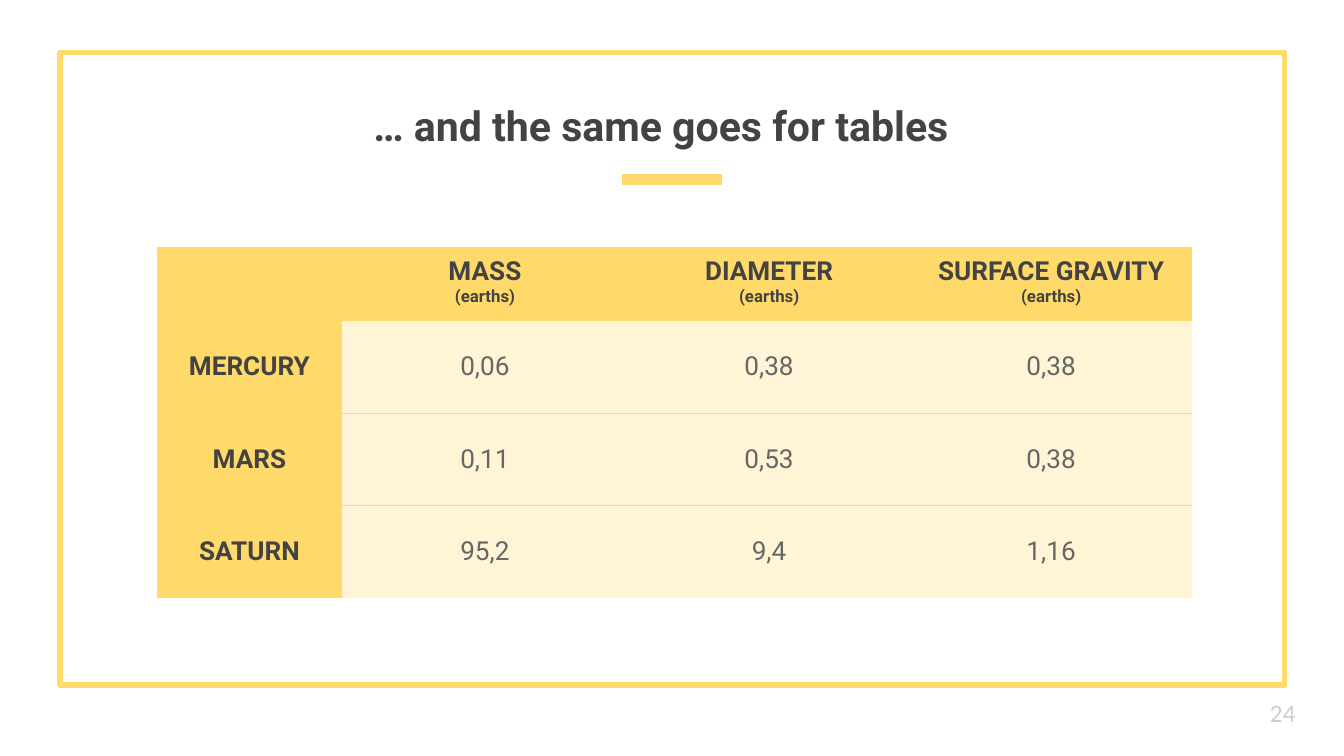
from lxml.etree import SubElement
from pptx import Presentation
from pptx.dml.color import RGBColor
from pptx.enum.shapes import MSO_CONNECTOR, MSO_SHAPE
from pptx.enum.text import MSO_ANCHOR, MSO_AUTO_SIZE, PP_ALIGN
from pptx.oxml import parse_xml
from pptx.oxml.ns import nsdecls, qn
from pptx.util import Cm, Pt

YELLOW = RGBColor(0xFF, 0xD9, 0x69)
DARK = RGBColor(0x43, 0x43, 0x43)
GRAY = RGBColor(0x66, 0x66, 0x66)
LIGHT = RGBColor(0xCC, 0xCC, 0xCC)
NO_STYLE = "{2D5ABB26-0587-4C30-8999-92F81FD0307C}"
TINT = 28

ROWS = [
    ["", "MASS\n(earths)", "DIAMETER\n(earths)", "SURFACE GRAVITY\n(earths)"],
    ["MERCURY", "0,06", "0,38", "0,38"],
    ["MARS", "0,11", "0,53", "0,38"],
    ["SATURN", "95,2", "9,4", "1,16"],
]
COL_WIDTHS = [3.49, 5.41, 5.33, 5.33]
ROW_HEIGHTS = [1.4, 1.75, 1.75, 1.75]


class Deck:
    font = "Roboto"

    def __init__(self, slide):
        self.s = slide

    def style(self, p, size, color, bold=False, font=None, align=PP_ALIGN.CENTER):
        p.alignment = align
        for r in p.runs:
            r.font.name = font or self.font
            r.font.size = Pt(size)
            r.font.bold = bold
            r.font.color.rgb = color

    def set_text(self, sp, text, anchor, **style):
        tf = sp.text_frame
        tf.text = text
        tf.word_wrap = True
        tf.auto_size = MSO_AUTO_SIZE.NONE
        tf.vertical_anchor = anchor
        tf.margin_left = tf.margin_right = Cm(0.25)
        tf.margin_top = tf.margin_bottom = Cm(0.25)
        self.style(tf.paragraphs[0], **style)

    def frame(self, x, y, w, h):
        sp = self.s.shapes.add_shape(MSO_SHAPE.RECTANGLE, Cm(x), Cm(y), Cm(w), Cm(h))
        sp.shadow.inherit = False
        sp.fill.background()
        sp.line.color.rgb = YELLOW
        sp.line.width = Pt(3)
        SubElement(sp.line._get_or_add_ln(), qn("a:round"))

    def rule(self, x1, x2, y):
        line = self.s.shapes.add_connector(
            MSO_CONNECTOR.STRAIGHT, Cm(x1), Cm(y), Cm(x2), Cm(y))
        line.line.color.rgb = YELLOW
        line.line.width = Pt(6)
        SubElement(line._element.spPr, qn("a:effectLst"))

    def title(self, text, x, y, w, h):
        sp = self.s.shapes.title
        sp.left, sp.top, sp.width, sp.height = Cm(x), Cm(y), Cm(w), Cm(h)
        self.set_text(sp, text, MSO_ANCHOR.BOTTOM, size=22, color=DARK, bold=True)

    def page_number(self, text, x, y, w, h):
        sp = self.s.shapes.add_textbox(Cm(x), Cm(y), Cm(w), Cm(h))
        self.set_text(sp, text, MSO_ANCHOR.MIDDLE, size=12, color=LIGHT,
                      font="Lato", align=PP_ALIGN.LEFT)

    def border(self, cell, *sides):
        for i, side in enumerate(sides):
            ln = parse_xml(
                f'<a:{side} {nsdecls("a")} w="{Pt(0.75)}"><a:solidFill>'
                f'<a:srgbClr val="{YELLOW}"/></a:solidFill></a:{side}>')
            cell._tc.get_or_add_tcPr().insert(i, ln)

    def cell(self, cell, text, heading, header_row):
        cell.margin_left = cell.margin_right = Cm(0.25)
        cell.margin_top = cell.margin_bottom = Cm(0.18)
        cell.vertical_anchor = MSO_ANCHOR.TOP if header_row else MSO_ANCHOR.MIDDLE
        cell.fill.solid()
        cell.fill.fore_color.rgb = YELLOW
        if not heading:
            clr = cell._tc.tcPr.find(".//" + qn("a:srgbClr"))
            SubElement(clr, qn("a:alpha")).set("val", str(TINT * 1000))
        cell.text_frame.text = text
        for p, size in zip(cell.text_frame.paragraphs, (14, 9)):
            self.style(p, size, DARK if heading else GRAY, bold=heading)

    def table(self, rows, x, y, widths, heights):
        tbl = self.s.shapes.add_table(
            len(rows), len(widths), Cm(x), Cm(y),
            Cm(sum(widths)), Cm(sum(heights))).table
        tbl.first_row = tbl.horz_banding = False
        tbl._tbl.tblPr.find(qn("a:tableStyleId")).text = NO_STYLE
        for col, w in zip(tbl.columns, widths):
            col.width = Cm(w)
        for i, (row, h) in enumerate(zip(rows, heights)):
            tbl.rows[i].height = Cm(h)
            sides = [side for side, shown in
                     (("lnT", i > 1), ("lnB", 0 < i < len(rows) - 1)) if shown]
            for j, text in enumerate(row):
                cell = tbl.cell(i, j)
                self.cell(cell, text, i == 0 or j == 0, i == 0)
                if j > 0:
                    self.border(cell, *sides)


def main():
    prs = Presentation()
    prs.slide_width, prs.slide_height = Cm(25.4), Cm(14.29)
    deck = Deck(prs.slides.add_slide(prs.slide_layouts[5]))
    deck.frame(1.14, 0.99, 23.14, 11.96)
    deck.rule(11.76, 13.64, 3.4)
    deck.table(ROWS, 2.97, 4.66, COL_WIDTHS, ROW_HEIGHTS)
    deck.title("… and the same goes for tables", 3.28, 1.57, 18.42, 1.52)
    deck.page_number("24", 23.75, 12.95, 1.52, 1.09)
    prs.save("out.pptx")


if __name__ == "__main__":
    main()
